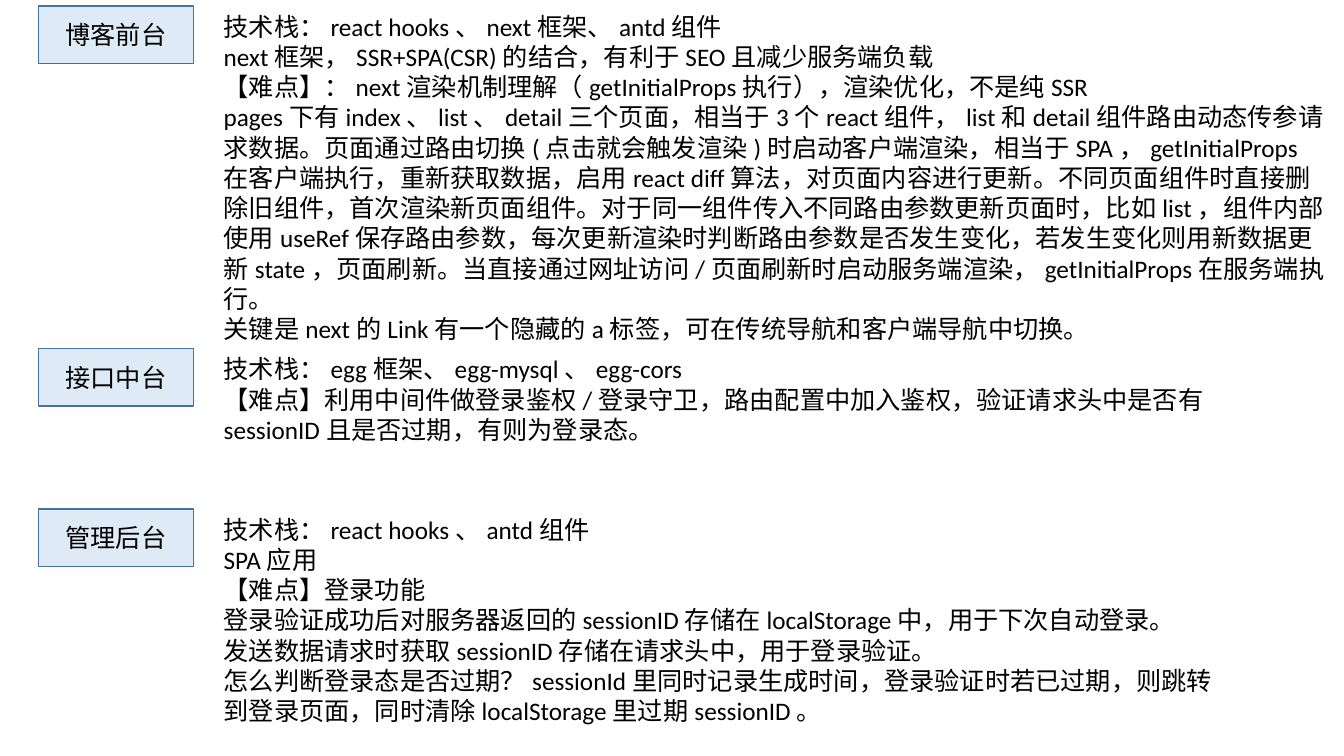
from pptx import Presentation
from pptx.dml.color import RGBColor
from pptx.enum.shapes import MSO_SHAPE
from pptx.enum.text import MSO_ANCHOR, MSO_AUTO_SIZE, PP_ALIGN
from pptx.util import Inches, Pt

RECTANGLE = MSO_SHAPE.RECTANGLE
MIDDLE = MSO_ANCHOR.MIDDLE
GROW = MSO_AUTO_SIZE.SHAPE_TO_FIT_TEXT
LEFT, CENTER = PP_ALIGN.LEFT, PP_ALIGN.CENTER
PALE_BLUE = RGBColor(0xDE, 0xEB, 0xF7)
STEEL_BLUE = RGBColor(0x43, 0x73, 0x9E)
BLACK = RGBColor(0, 0, 0)

LABEL_COLUMN, LABEL_WIDTH, LABEL_HEIGHT = Inches(0.38), Inches(1.54), Inches(0.57)
DETAIL_COLUMN = Inches(2.12)

SECTIONS = [
    ("博客前台", 0.06, 11.12, 3.13, [
        "技术栈：react hooks、next框架、antd组件",
        "next框架，SSR+SPA(CSR)的结合，有利于SEO且减少服务端负载",
        "【难点】：next渲染机制理解（getInitialProps执行），渲染优化，不是纯SSR",
        "pages下有index、list、detail三个页面，相当于3个react组件，"
        "list和detail组件路由动态传参请求数据。"
        "页面通过路由切换(点击就会触发渲染)时启动客户端渲染，相当于SPA，"
        "getInitialProps在客户端执行，重新获取数据，启用react diff算法，"
        "对页面内容进行更新。不同页面组件时直接删除旧组件，首次渲染新页面组件。"
        "对于同一组件传入不同路由参数更新页面时，比如list，"
        "组件内部使用useRef保存路由参数，每次更新渲染时判断路由参数是否发生变化，"
        "若发生变化则用新数据更新state，页面刷新。"
        "当直接通过网址访问/页面刷新时启动服务端渲染，getInitialProps在服务端执行。",
        "关键是next的Link有一个隐藏的a标签，可在传统导航和客户端导航中切换。",
    ]),
    ("接口中台", 3.46, 10.22, 1.31, [
        "技术栈：egg框架、egg-mysql、egg-cors",
        "【难点】利用中间件做登录鉴权/登录守卫，路由配置中加入鉴权，"
        "验证请求头中是否有sessionID且是否过期，有则为登录态。",
    ]),
    ("管理后台", 5.05, 10.03, 2.22, [
        "技术栈：react hooks、antd组件",
        "SPA应用",
        "【难点】登录功能",
        "登录验证成功后对服务器返回的sessionID存储在localStorage中，用于下次自动登录。",
        "发送数据请求时获取sessionID存储在请求头中，用于登录验证。",
        "怎么判断登录态是否过期？sessionId里同时记录生成时间，"
        "登录验证时若已过期，则跳转到登录页面，同时清除localStorage里过期sessionID。",
    ]),
]


def write_lines(frame, lines, alignment):
    frame.word_wrap = True
    frame.text = "\n".join(lines)
    for paragraph in frame.paragraphs:
        paragraph.alignment = alignment
        paragraph.font.name = "Calibri"
        paragraph.font.size = Pt(18)
        paragraph.font.color.rgb = BLACK


deck = Presentation()
deck.slide_width, deck.slide_height = Inches(13.33), Inches(7.5)
slide = deck.slides.add_slide(deck.slide_layouts[6])

for name, row, detail_width, detail_height, points in SECTIONS:
    label = slide.shapes.add_shape(
        RECTANGLE, LABEL_COLUMN, Inches(row), LABEL_WIDTH, LABEL_HEIGHT)
    label.shadow.inherit = False
    label.fill.solid()
    label.fill.fore_color.rgb = PALE_BLUE
    label.line.color.rgb = STEEL_BLUE
    label.line.width = Pt(1)
    label.text_frame.vertical_anchor = MIDDLE
    write_lines(label.text_frame, [name], CENTER)

    detail = slide.shapes.add_textbox(
        DETAIL_COLUMN, Inches(row), Inches(detail_width), Inches(detail_height))
    write_lines(detail.text_frame, points, LEFT)
    detail.text_frame.auto_size = GROW

deck.save("out.pptx")
